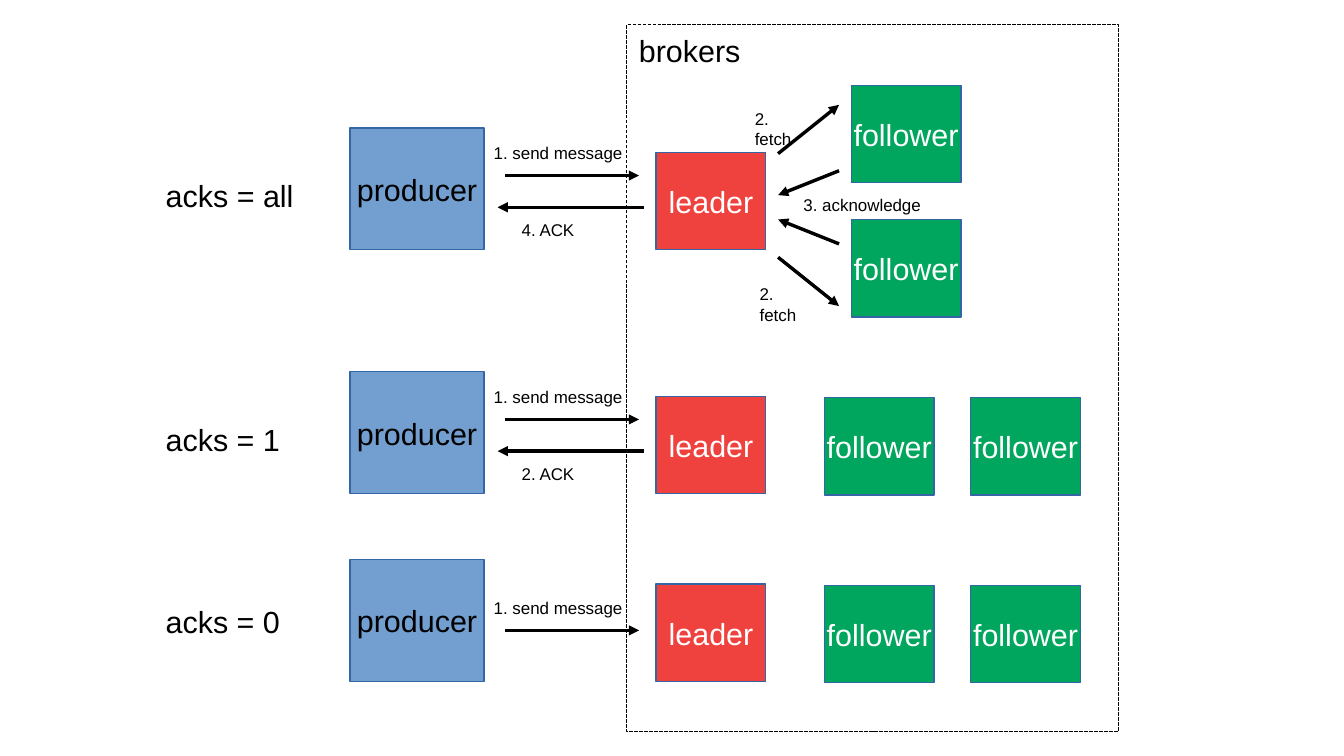
from dataclasses import dataclass

from lxml.etree import SubElement
from pptx import Presentation
from pptx.dml.color import RGBColor as Color
from pptx.enum.dml import MSO_LINE_DASH_STYLE as Dash
from pptx.enum.shapes import MSO_CONNECTOR as Connector, MSO_SHAPE as Shape
from pptx.enum.text import MSO_ANCHOR as Anchor, MSO_AUTO_SIZE as AutoSize, PP_ALIGN as Align
from pptx.oxml.ns import qn
from pptx.util import Inches, Pt


@dataclass(frozen=True)
class Theme:
    font: str = "Arial"
    large: int = 18
    small: int = 10
    black: str = "000000"
    white: str = "FFFFFF"
    border: str = "3465A4"
    producer: str = "729FCF"
    leader: str = "EF413D"
    follower: str = "00A65D"


class Diagram:
    def __init__(self, page, theme):
        self.page = page
        self.theme = theme

    def rectangle(self, left, top, width, height, border):
        box = self.page.shapes.add_shape(Shape.RECTANGLE, *map(Inches, (left, top, width, height)))
        box.shadow.inherit = False
        self.outline(box.line, border)
        return box

    def outline(self, line, color):
        line.color.rgb = Color.from_string(color)
        line.width = Pt(0)

    def set_text(self, box, text, size, color, align, **frame_format):
        frame = box.text_frame
        for name, value in frame_format.items():
            setattr(frame, name, value)
        para = frame.paragraphs[0]
        para.alignment = align
        span = para.add_run()
        span.text = text
        for name, value in {"name": self.theme.font, "size": Pt(size)}.items():
            setattr(span.font, name, value)
        span.font.color.rgb = Color.from_string(color)

    def node(self, text, left, top, width=0.9, height=0.8):
        """Draw a box in the colour of its role, which is also its text."""
        theme = self.theme
        box = self.rectangle(left, top, width, height, theme.border)
        fills = {"producer": theme.producer, "leader": theme.leader, "follower": theme.follower}
        box.fill.solid()
        box.fill.fore_color.rgb = Color.from_string(fills[text])
        color = theme.black if text == "producer" else theme.white
        self.set_text(box, text, theme.large, color, Align.CENTER,
                      word_wrap=False, vertical_anchor=Anchor.MIDDLE)

    def frame(self, left, top, width, height):
        box = self.rectangle(left, top, width, height, self.theme.black)
        box.fill.background()
        box.line.dash_style = Dash.SQUARE_DOT

    def label(self, text, left, top, width, height=0.25, size=None, wrap=False):
        box = self.page.shapes.add_textbox(*map(Inches, (left, top, width, height)))
        self.set_text(box, text, size or self.theme.small, self.theme.black, Align.LEFT,
                      word_wrap=wrap, auto_size=AutoSize.SHAPE_TO_FIT_TEXT)

    def arrow(self, *ends):
        arrow = self.page.shapes.add_connector(Connector.STRAIGHT, *map(Inches, ends))
        self.outline(arrow.line, self.theme.black)
        properties = arrow._element.spPr
        SubElement(properties.find(qn("a:ln")), qn("a:tailEnd"), type="triangle")
        SubElement(properties, qn("a:effectLst"))

    def scenario(self, acks, acks_top, acks_width, top, send_top, reply, followers):
        """Draw one acks setting: its name, the nodes and the messages."""
        self.label(f"acks = {acks}", 1.26, acks_top, acks_width, 0.38, self.theme.large)
        self.node("producer", 2.87, top, 1.1, 1)
        self.node("leader", 5.38, top + 0.2)
        for left, follower_top in followers:
            self.node("follower", left, follower_top)
        self.label("1. send message", 3.95, send_top - 0.32, 1.25)
        self.arrow(4.14, send_top, 5.24, send_top)
        if reply:
            self.label(reply, 4.18, top + 0.7, 0.63)
            self.arrow(5.28, top + 0.65, 4.08, top + 0.65)

    def replication(self):
        """Draw the messages between the leader and its two followers."""
        for leader_y, follower_y in ((1.26, 0.86), (2.11, 2.51)):
            self.arrow(6.38, leader_y, 6.88, follower_y)
        for leader_y, follower_y in ((1.6, 1.4), (1.8, 2)):
            self.arrow(6.88, follower_y, 6.38, leader_y)
        for left, top in ((6.09, 0.84), (6.13, 2.28)):
            self.label("2. fetch", left, top, 0.65)
        self.label("3. acknowledge", 6.49, 1.55, 1.3, 0.72, wrap=True)


def main():
    deck = Presentation()
    deck.slide_width, deck.slide_height = Inches(11.02), Inches(6.2)
    theme = Theme()
    diagram = Diagram(deck.slides.add_slide(deck.slide_layouts[6]), theme)

    diagram.frame(5.14, 0.2, 4.03, 5.8)
    diagram.label("brokers", 5.14, 0.21, 1.5, 0.66, theme.large, wrap=True)
    stacked = [(6.98, top) for top in (0.7, 1.8)]
    diagram.scenario("all", 1.4, 1.25, 1.05, 1.44, "4. ACK", stacked)
    diagram.replication()
    for acks, acks_top, top, send_top, reply in (
        (1, 3.4, 3.05, 3.44, "2. ACK"),
        (0, 4.9, 4.59, 5.17, None),
    ):
        side_by_side = [(left, top + 0.21) for left in (6.76, 7.96)]
        diagram.scenario(acks, acks_top, 1.14, top, send_top, reply, side_by_side)

    deck.save("out.pptx")


if __name__ == "__main__":
    main()
